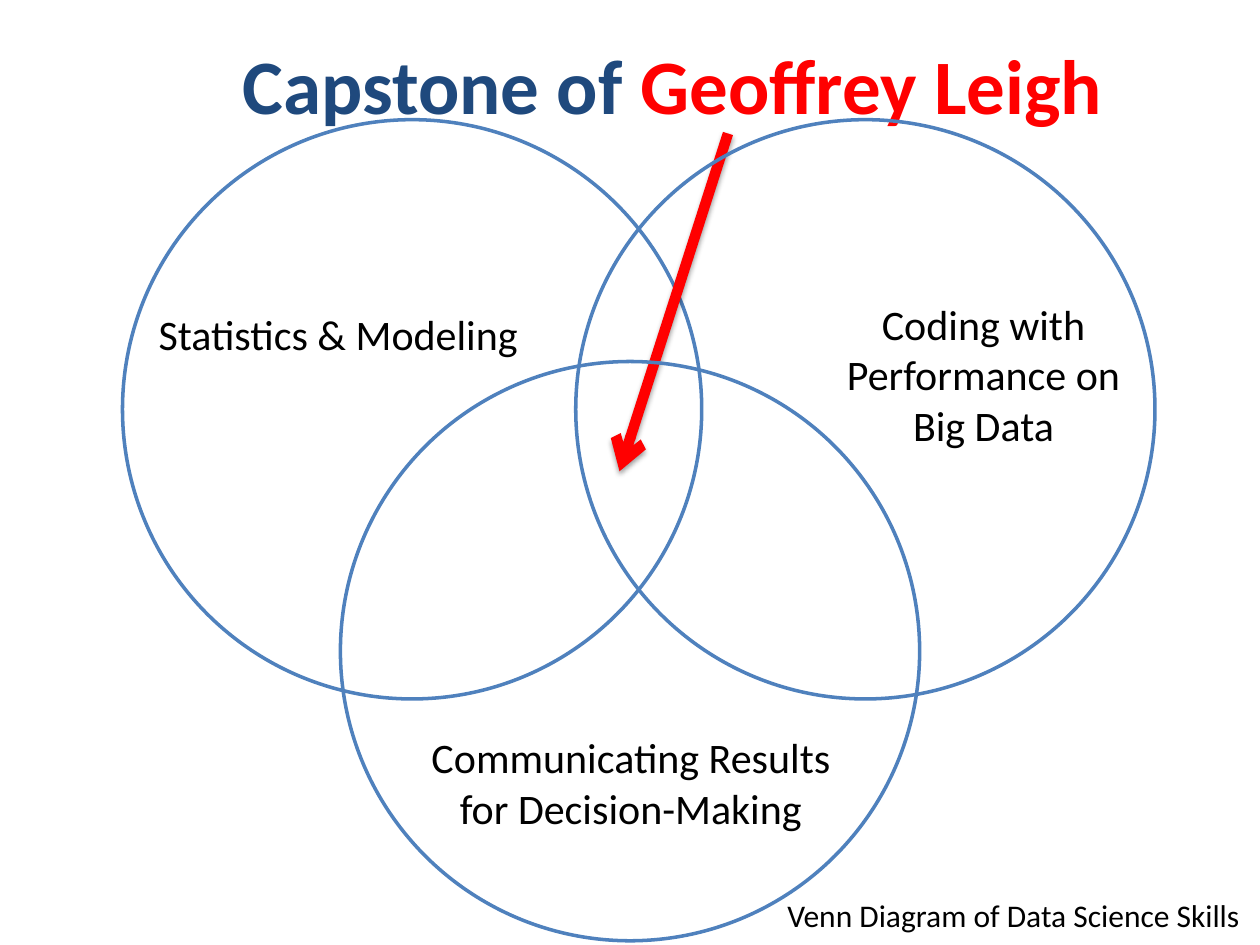
"""Build a Venn diagram slide of data science skills."""
from dataclasses import dataclass

from lxml import etree
from pptx import Presentation
from pptx.dml.color import RGBColor
from pptx.enum.shapes import MSO_CONNECTOR, MSO_SHAPE
from pptx.enum.text import MSO_ANCHOR, MSO_AUTO_SIZE, PP_ALIGN
from pptx.oxml import parse_xml
from pptx.oxml.ns import nsdecls, qn
from pptx.util import Pt

OVAL = MSO_SHAPE.OVAL
STRAIGHT = MSO_CONNECTOR.STRAIGHT
TOP, MIDDLE = MSO_ANCHOR.TOP, MSO_ANCHOR.MIDDLE
LEFT, CENTER = PP_ALIGN.LEFT, PP_ALIGN.CENTER
FIT_SHAPE, NO_FIT = MSO_AUTO_SIZE.SHAPE_TO_FIT_TEXT, MSO_AUTO_SIZE.NONE


@dataclass(frozen=True)
class Theme:
    font: str = "Calibri"
    text: str = "000000"
    title: str = "1F497D"
    accent: str = "FF0000"
    outline: str = "4F81BD"
    title_size: int = 44
    label_size: int = 24
    caption_size: int = 18


class SlideBuilder:
    def __init__(self, slide, theme):
        self.shapes = slide.shapes
        self.theme = theme

    def circle(self, left, top, diameter):
        shape = self.shapes.add_shape(OVAL, Pt(left), Pt(top), Pt(diameter), Pt(diameter))
        shape.shadow.inherit = False
        shape.fill.background()
        shape.line.color.rgb = RGBColor.from_string(self.theme.outline)
        shape.line.width = Pt(2)

    def arrow(self, start, end):
        connector = self.shapes.add_connector(STRAIGHT, *map(Pt, start + end))
        connector.line.color.rgb = RGBColor.from_string(self.theme.accent)
        connector.line.width = Pt(6)
        properties = connector._element.spPr
        etree.SubElement(properties.find(qn("a:ln")), qn("a:tailEnd"), type="arrow")
        properties.append(parse_xml(
            f'<a:effectLst {nsdecls("a")}>'
            f'<a:outerShdw blurRad="{Pt(3.1)}" dist="{Pt(1.6)}" dir="5400000" rotWithShape="0">'
            f'<a:srgbClr val="{self.theme.text}"><a:alpha val="38000"/></a:srgbClr>'
            '</a:outerShdw></a:effectLst>'))

    def text(self, box, runs, size, bold=False, align=CENTER, anchor=TOP, wrap=True, fit=FIT_SHAPE):
        frame = self.shapes.add_textbox(*map(Pt, box)).text_frame
        frame.word_wrap = wrap
        frame.auto_size = fit
        frame.vertical_anchor = anchor
        paragraph = frame.paragraphs[0]
        paragraph.alignment = align
        for words, color in runs:
            run = paragraph.add_run()
            run.text = words
            run.font.name = self.theme.font
            run.font.size = Pt(size)
            run.font.bold = bold
            run.font.color.rgb = RGBColor.from_string(color)

    def label(self, box, words, wrap=True):
        self.text(box, [(words, self.theme.text)], self.theme.label_size, wrap=wrap)


def main():
    theme = Theme()
    presentation = Presentation()
    presentation.slide_width, presentation.slide_height = Pt(720), Pt(540)
    slide = presentation.slides.add_slide(presentation.slide_layouts[6])
    builder = SlideBuilder(slide, theme)

    diameter, upper_top = 331, 68.4
    builder.circle(70, upper_top, diameter)
    builder.text((85, 3, 599, 90),
                 [("Capstone of ", theme.title), ("Geoffrey Leigh", theme.accent)],
                 theme.title_size, bold=True, anchor=MIDDLE, fit=NO_FIT)
    builder.text((442.8, 508.3, 277.2, 29), [("Venn Diagram of Data Science Skills", theme.text)],
                 theme.caption_size, align=LEFT, wrap=False)
    builder.arrow((416, 76.3), (354, 269.3))
    builder.circle(329, upper_top, diameter)
    builder.circle(194.5, 206.6, diameter)

    builder.label((231, 414.7, 259, 65.5), "Communicating Results for Decision-Making")
    builder.label((466.6, 167, 190.8, 94.5), "Coding with Performance on Big Data")
    builder.label((82, 172.8, 222.5, 36), "Statistics & Modeling", wrap=False)
    presentation.save("out.pptx")


if __name__ == "__main__":
    main()
